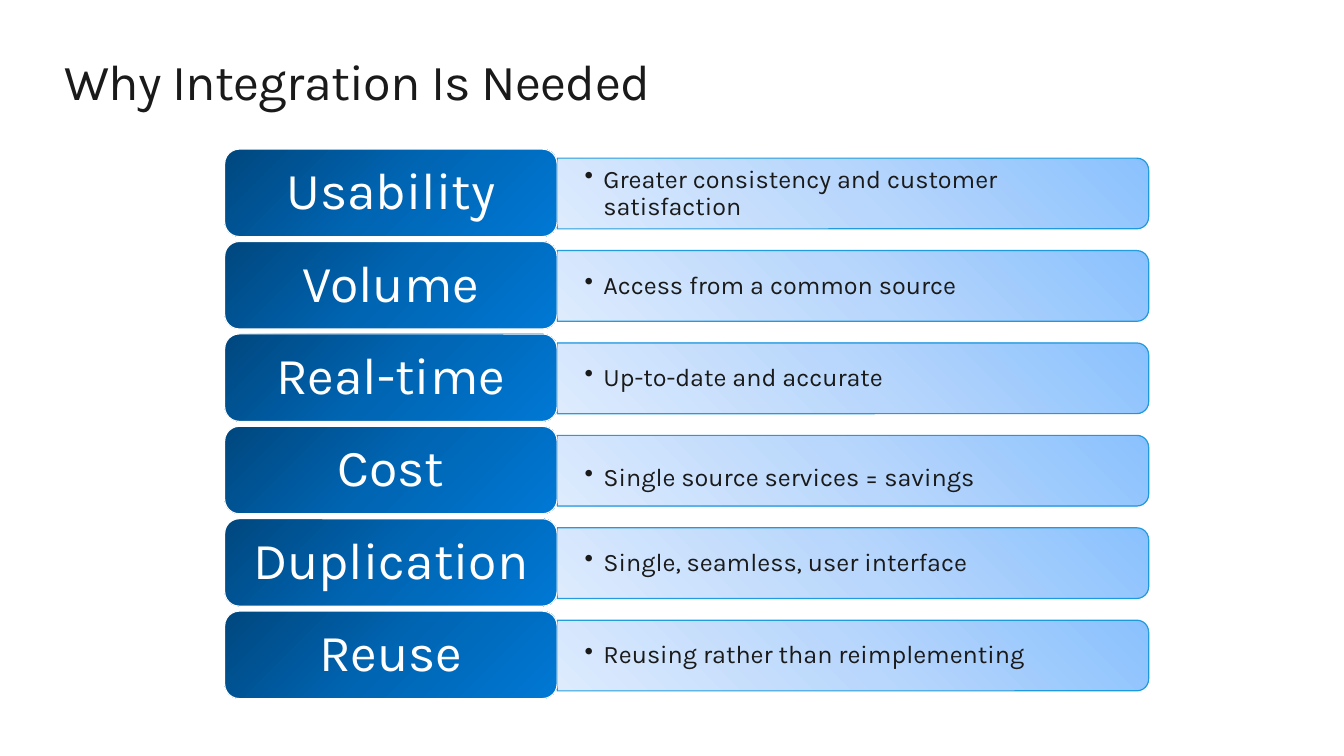
import copy
import dataclasses

import lxml.etree
import pptx
import pptx.dml.color
import pptx.enum.shapes
import pptx.enum.text
import pptx.oxml.ns
import pptx.util

SHAPES = pptx.enum.shapes.MSO_SHAPE
ALIGN = pptx.enum.text.PP_ALIGN
ANCHOR = pptx.enum.text.MSO_ANCHOR


@dataclasses.dataclass(frozen=True)
class Theme:
    font: str = "Karla"
    ink: str = "1A1A1A"
    white: str = "FFFFFF"
    benefit_line: str = "1095DA"
    reason_fill: tuple = ("00477E", "0065B3", "0078D4")
    benefit_fill: tuple = ("8AC1FD", "B9D7FC", "DDEBFD")
    title_size: int = 36
    reason_size: int = 37
    benefit_size: int = 18
    line_width: float = 0.85


def px(length):
    return pptx.util.Emu(length * 6350)


def rgb(value):
    return pptx.dml.color.RGBColor.from_string(value)


def add_tag(parent, tag, **attributes):
    return lxml.etree.SubElement(parent, pptx.oxml.ns.qn(tag), attributes)


class IntegrationSlide:
    def __init__(self, presentation, theme):
        self.theme = theme
        self.slide = presentation.slides.add_slide(presentation.slide_layouts[6])

    def add_text(self, holder, text, size, color, margins=(0, 0), anchor=ANCHOR.TOP):
        frame = holder.text_frame
        frame.word_wrap = True
        frame.vertical_anchor = anchor
        frame.margin_left = frame.margin_right = px(margins[0])
        frame.margin_top = frame.margin_bottom = px(margins[1])
        paragraph = frame.paragraphs[0]
        run = paragraph.add_run()
        run.text = text
        run.font.name = self.theme.font
        run.font.size = pptx.util.Pt(size)
        run.font.color.rgb = rgb(color)
        return paragraph

    def panel(self, preset, box, colors, line_color):
        panel = self.slide.shapes.add_shape(preset, *map(px, box))
        panel.shadow.inherit = False
        panel.fill.gradient()
        panel.fill.gradient_angle = 315
        stop_list = next(panel._element.spPr.iter(pptx.oxml.ns.qn("a:gsLst")))
        stop_list.append(copy.deepcopy(stop_list[-1]))
        for index, (stop, color) in enumerate(zip(panel.fill.gradient_stops, colors)):
            stop.position = index / 2
            stop.color.rgb = rgb(color)
        panel.line.color.rgb = rgb(line_color)
        panel.line.width = pptx.util.Pt(self.theme.line_width)
        return panel

    def title(self, text, box):
        holder = self.slide.shapes.add_textbox(*map(px, box))
        heading = self.add_text(holder, text, self.theme.title_size, self.theme.ink)
        heading.runs[0]._r.get_or_add_rPr().set("spc", "-50")

    def benefit(self, text, left, middle, drop):
        width, height = 845, 101
        bar = self.panel(
            SHAPES.ROUND_2_SAME_RECTANGLE,
            (left + (width - height) // 2, middle - width // 2, height, width),
            self.theme.benefit_fill,
            self.theme.benefit_line,
        )
        bar.rotation = 90
        outline = bar._element.spPr.find(pptx.oxml.ns.qn("a:ln"))
        add_tag(next(outline.iter(pptx.oxml.ns.qn("a:srgbClr"))), "a:alpha", val="90000")

        holder = self.slide.shapes.add_textbox(*map(px, (left, middle - 45, 840, 91)))
        point = self.add_text(holder, text, self.theme.benefit_size, self.theme.ink,
                              (39, 20), ANCHOR.MIDDLE)
        holder.text_frame.margin_top = px(20 + drop)
        point.line_spacing = 0.9
        properties = point._p.get_or_add_pPr()
        properties.set("marL", str(px(27)))
        properties.set("indent", str(px(-27)))
        add_tag(properties, "a:buChar", char="•")

    def reason(self, text, left, middle):
        card = self.panel(SHAPES.ROUNDED_RECTANGLE, (left, middle - 63, 475, 125),
                          self.theme.reason_fill, self.theme.white)
        label = self.add_text(card, text, self.theme.reason_size, self.theme.white,
                              (28, 18), ANCHOR.MIDDLE)
        label.alignment = ALIGN.CENTER
        label.line_spacing = 0.9


def main():
    presentation = pptx.Presentation()
    presentation.slide_width, presentation.slide_height = px(1920), px(1080)
    page = IntegrationSlide(presentation, Theme())
    page.title("Why Integration Is Needed", (92, 72, 1735, 88))
    rows = (
        ("Usability", "Greater consistency and customer satisfaction", 0),
        ("Volume", "Access from a common source", 0),
        ("Real-time", "Up-to-date and accurate", 0),
        ("Cost", "Single source services = savings", 22),
        ("Duplication", "Single, seamless, user interface", 0),
        ("Reuse", "Reusing rather than reimplementing", 0),
    )
    for index, (reason, benefit, drop) in enumerate(rows):
        middle = 276 + 132 * index
        page.benefit(benefit, 796, middle, drop)
        page.reason(reason, 321, middle)
    presentation.save("out.pptx")


if __name__ == "__main__":
    main()
